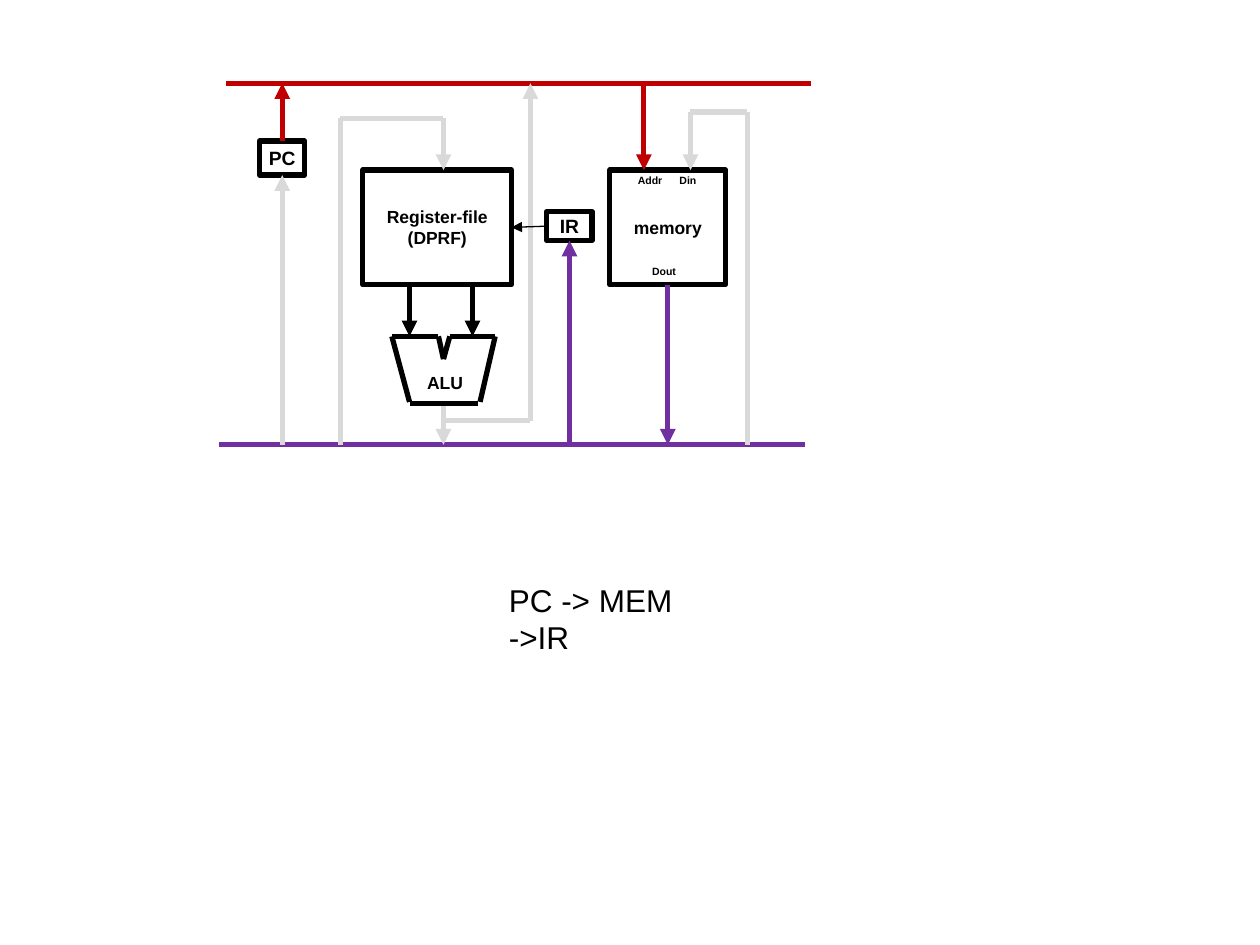
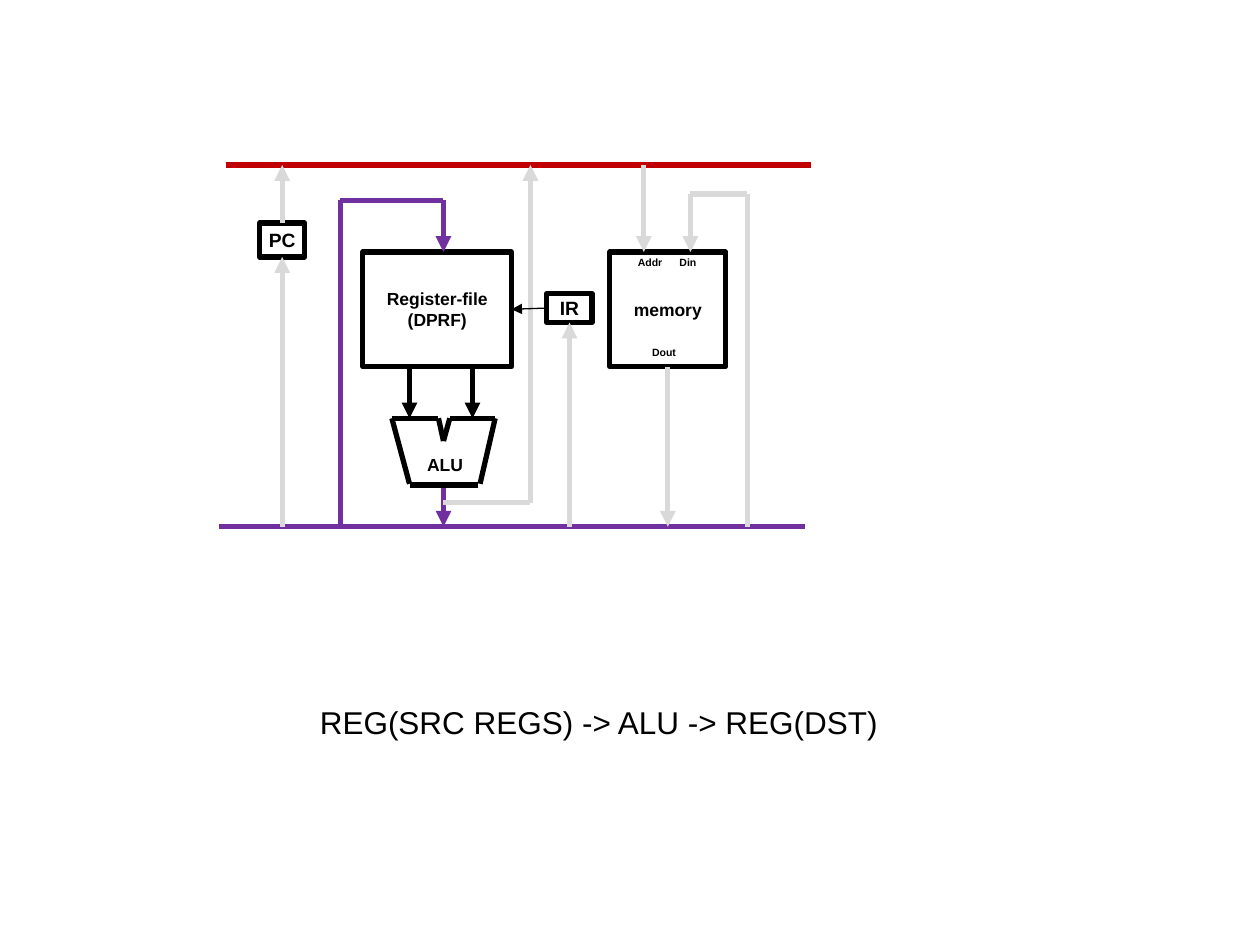
from itertools import pairwise

from pptx import Presentation
from pptx.dml.color import RGBColor
from pptx.enum.shapes import MSO_CONNECTOR, MSO_SHAPE
from pptx.enum.text import MSO_ANCHOR, MSO_AUTO_SIZE, PP_ALIGN
from pptx.oxml.ns import qn
from pptx.util import Inches, Pt
from lxml import etree

FONT = "Arial"
BLACK, WHITE, IDLE = "000000", "FFFFFF", "D9D9D9"
ADDRESS, DATA = "C00000", "7030A0"
ADDRESS_Y, DATA_Y = 0.66, 3.53
BLOCK_TOP, BLOCK_BOTTOM, ALU_TOP = 1.35, 2.26, 2.67
TOP, LEFT, BOTTOM, RIGHT = range(4)

STEPS = [
    {"caption": "PC -> MEM ->IR", "caption_at": (3.94, 4.56, 2.04, 0.4), "drop": 0,
     "active": {"PC out", "memory address", "memory out", "IR in"}},
    {"caption": "REG(SRC REGS) -> ALU -> REG(DST)", "caption_at": (2.44, 5.53, 4.64, 0.4),
     "drop": 0.65, "active": {"ALU out", "register in"}},
]

BLOCKS = {
    "PC": ("PC", (2.06, 1.12, 0.36, 0.27), 11),
    "memory": ("memory", (4.84, BLOCK_TOP, 0.92, 0.91), 10),
    "IR": ("IR", (4.34, 1.68, 0.36, 0.23), 11),
    "registers": ("Register-file\n(DPRF)", (2.88, BLOCK_TOP, 1.18, 0.91), 10),
}

LABELS = [
    ("Addr", (4.96, BLOCK_TOP, 0.4, 0.16), 6, PP_ALIGN.CENTER),
    ("Din", (5.26, BLOCK_TOP, 0.4, 0.16), 6, PP_ALIGN.CENTER),
    ("Dout", (5.07, 2.07, 0.4, 0.16), 6, PP_ALIGN.CENTER),
    ("ALU", (3.34, 2.92, 0.46, 0.22), 10, PP_ALIGN.LEFT),
]

ALU_EDGES = [
    ((3.11, ALU_TOP), (3.25, 3.19)),
    ((3.93, ALU_TOP), (3.81, 3.19)),
    ((3.57, ALU_TOP), (3.52, 2.85)),
    ((3.48, ALU_TOP), (3.52, 2.85)),
    ((3.11, ALU_TOP), (3.48, ALU_TOP)),
    ((3.57, ALU_TOP), (3.93, ALU_TOP)),
    ((3.25, 3.2), (3.79, 3.2)),
]

BUSES = [
    ((1.79, ADDRESS_Y), (6.44, ADDRESS_Y), ADDRESS),
    ((1.74, DATA_Y), (6.39, DATA_Y), DATA),
]

OPERAND_XS = (3.25, 3.75)

WIRES = [
    ("ALU out", DATA, [(3.52, 3.22), (3.52, DATA_Y)], None, None),
    ("PC out", ADDRESS, [(2.24, 1.12), (2.24, ADDRESS_Y)], ("PC", TOP), None),
    ("memory address", ADDRESS, [(5.11, ADDRESS_Y), (5.11, BLOCK_TOP)], None, None),
    ("memory in", DATA, [(5.93, DATA_Y), (5.93, 0.89), (5.48, 0.89), (5.48, BLOCK_TOP)],
     None, None),
    ("memory out", DATA, [(5.3, BLOCK_BOTTOM), (5.3, DATA_Y)], ("memory", BOTTOM), None),
    ("PC in", DATA, [(2.24, DATA_Y), (2.24, 1.39)], None, ("PC", BOTTOM)),
    ("register in", DATA, [(2.7, DATA_Y), (2.7, 0.94), (3.52, 0.94), (3.52, BLOCK_TOP)],
     None, None),
    ("IR in", DATA, [(4.52, DATA_Y), (4.52, 1.91)], None, ("IR", BOTTOM)),
    ("ALU address", ADDRESS, [(3.52, 3.34), (4.21, 3.34), (4.21, ADDRESS_Y)], None, None),
]


def rgb(value):
    return RGBColor.from_string(value)


def write(shape, text, size, bold=True, align=PP_ALIGN.LEFT, margins=(0.05, 0.03)):
    frame = shape.text_frame
    frame.text = text
    frame.word_wrap = True
    frame.margin_left = frame.margin_right = Inches(margins[0])
    frame.margin_top = frame.margin_bottom = Inches(margins[1])
    for paragraph in frame.paragraphs:
        paragraph.alignment = align
        for run in paragraph.runs:
            run.font.name = FONT
            run.font.size = Pt(size)
            run.font.bold = bold
            run.font.color.rgb = rgb(BLACK)
    return frame


class Datapath:
    def __init__(self, slide, drop):
        self.shapes = slide.shapes.add_group_shape().shapes
        self.drop = drop
        self.blocks = {}

    def place(self, at):
        left, top, width, height = at
        return [Inches(v) for v in (left, top + self.drop, width, height)]

    def block(self, name, text, at, size):
        block = self.shapes.add_shape(MSO_SHAPE.RECTANGLE, *self.place(at))
        block.shadow.inherit = False
        block.fill.solid()
        block.fill.fore_color.rgb = rgb(WHITE)
        block.line.color.rgb = rgb(BLACK)
        block.line.width = Pt(3)
        write(block, text, size, align=PP_ALIGN.CENTER).vertical_anchor = MSO_ANCHOR.MIDDLE
        self.blocks[name] = block

    def label(self, text, at, size, align):
        write(self.shapes.add_textbox(*self.place(at)), text, size, align=align)

    def line(self, start, end, color=BLACK, arrow=False, width=3, source=None, target=None):
        ends = [Inches(v) for x, y in (start, end) for v in (x, y + self.drop)]
        line = self.shapes.add_connector(MSO_CONNECTOR.STRAIGHT, *ends)
        line.line.color.rgb = rgb(color)
        line.line.width = Pt(width)
        if arrow:
            etree.SubElement(line.line._get_or_add_ln(), qn("a:tailEnd"), type="triangle")
        etree.SubElement(line._element.spPr, qn("a:effectLst"))
        if source:
            line.begin_connect(self.blocks[source[0]], source[1])
        if target:
            line.end_connect(self.blocks[target[0]], target[1])

    def wire(self, color, points, source, target):
        legs = list(pairwise(points))
        for number, (start, end) in enumerate(legs, 1):
            last = number == len(legs)
            self.line(start, end, color, last, source=source if number == 1 else None,
                      target=target if last else None)

    def draw(self, active):
        for name, block in BLOCKS.items():
            self.block(name, *block)
        for label in LABELS:
            self.label(*label)
        for x in OPERAND_XS:
            self.line((x, BLOCK_BOTTOM), (x, ALU_TOP), arrow=True)
        for bus in BUSES:
            self.line(*bus)
        for name, color, *route in WIRES:
            self.wire(color if name in active else IDLE, *route)
        for edge in ALU_EDGES:
            self.line(*edge)
        self.line((4.34, 1.8), (4.06, 1.8), arrow=True, width=0.75,
                  source=("IR", LEFT), target=("registers", RIGHT))


def main():
    deck = Presentation()
    deck.slide_width, deck.slide_height = Inches(10), Inches(7.5)
    for step in STEPS:
        slide = deck.slides.add_slide(deck.slide_layouts[6])
        Datapath(slide, step["drop"]).draw(step["active"])
        caption = slide.shapes.add_textbox(*[Inches(v) for v in step["caption_at"]])
        frame = write(caption, step["caption"], 18, bold=False, margins=(0.1, 0.05))
        frame.word_wrap = False
        frame.auto_size = MSO_AUTO_SIZE.SHAPE_TO_FIT_TEXT
    deck.save("out.pptx")


if __name__ == "__main__":
    main()
